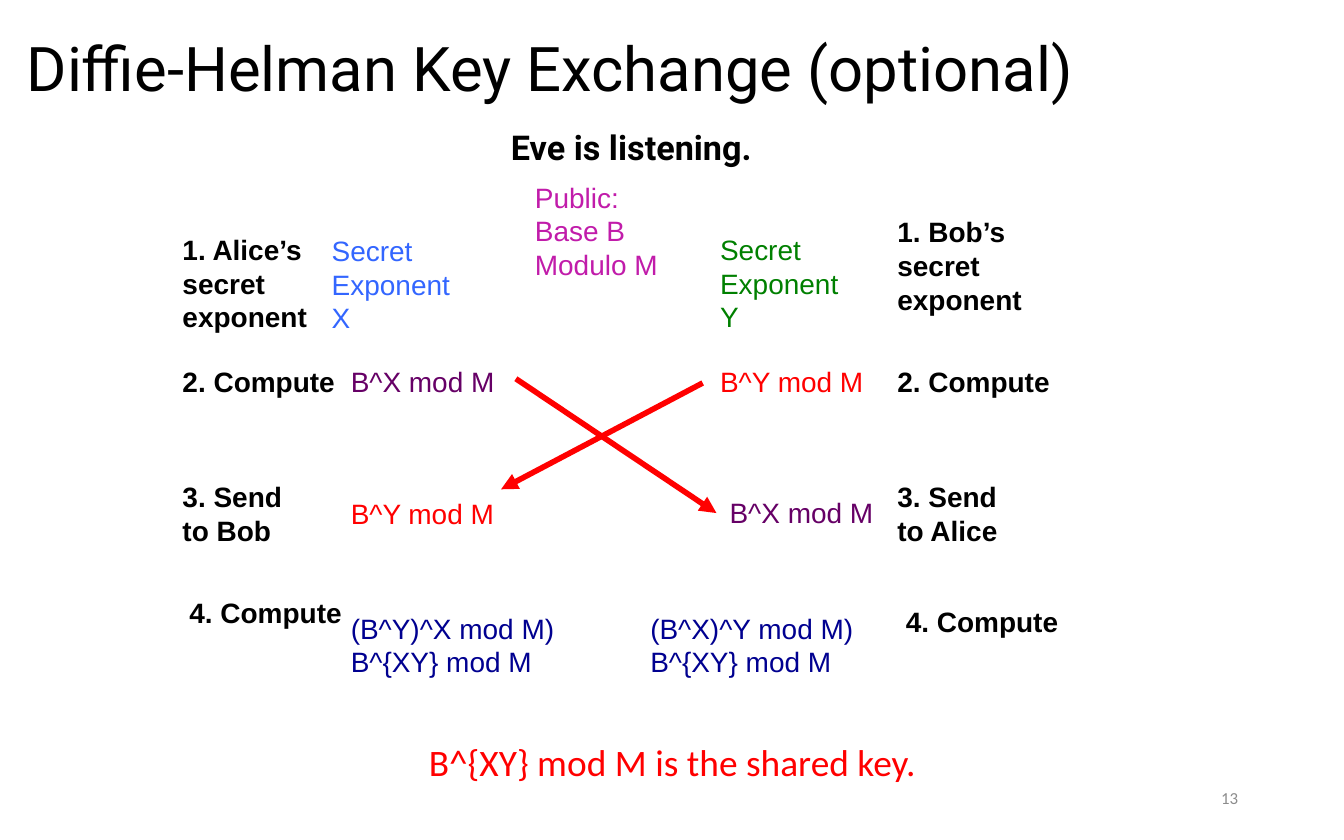
from lxml import etree
from pptx import Presentation
from pptx import util as u
from pptx.dml.color import RGBColor
from pptx.enum import shapes, text
from pptx.oxml.ns import qn

LABEL = dict(color="000000", bold=True)
ALICE = [
    ("1. Alice’s\nsecret\nexponent", 0, 0.33, 2.9, LABEL),
    ("2. Compute", 0, 2.82, 3.43, LABEL),
    ("3. Send\nto Bob", 0, 5, 2.49, LABEL),
    ("4. Compute", 0.13, 7.19, 3.43, LABEL),
    ("Secret\nExponent\nX", 2.82, 0.35, 2.77, dict(color="3366FF")),
    ("B^X mod M", 3.18, 2.82, 3.25, dict(color="660066")),
    ("B^Y mod M", 3.18, 5.33, 3.25, dict(color="FF0000")),
    ("(B^Y)^X mod M)\nB^{XY} mod M", 3.18, 7.49, 4.39, dict(color="000090")),
]
BOB = [
    ("1. Bob’s\nsecret\nexponent", 4.67, 0, 2.9, LABEL),
    ("2. Compute", 4.67, 2.82, 3.43, LABEL),
    ("3. Send\nto Alice", 4.67, 5, 2.41, LABEL),
    ("4. Compute", 4.83, 7.36, 3.43, LABEL),
    ("Secret Exponent\nY", 1.32, 0.33, 3, dict(color="008000", wrap=True)),
    ("B^Y mod M", 1.32, 2.82, 3.25, dict(color="FF0000")),
    ("B^X mod M", 1.5, 5.31, 3.25, dict(color="660066")),
    ("(B^X)^Y mod M)\nB^{XY} mod M", 0, 7.49, 4.39, dict(color="000090")),
]


def rgb(value):
    return RGBColor.from_string(value)


def write(paragraph, words, *, size=15, font="Arial", color="000000", bold=False,
          align=text.PP_ALIGN.LEFT, spacing=None, before=0, indent=None):
    paragraph.text = words
    paragraph.alignment = align
    paragraph.line_spacing = spacing
    paragraph.space_before = u.Cm(before)
    if indent is not None:
        properties = paragraph._p.get_or_add_pPr()
        properties.set("marL", str(u.Cm(indent)))
        properties.set("indent", "0")
        etree.SubElement(properties, qn("a:buNone"))
    paragraph.font.size = u.Pt(size)
    paragraph.font.name = font
    paragraph.font.bold = bold
    paragraph.font.color.rgb = rgb(color)


def place(shape, left, top, width, height):
    shape.left, shape.top = u.Cm(left), u.Cm(top)
    shape.width, shape.height = u.Cm(width), u.Cm(height)


def add_text(slide, words, left, top, width, *, wrap=False, **style):
    lines = words.split("\n")
    shape = slide.shapes.add_textbox(u.Cm(left), u.Cm(top), u.Cm(width),
                                     u.Cm(0.25 + 0.64 * len(lines)))
    frame = shape.text_frame
    frame.word_wrap = wrap
    frame.auto_size = text.MSO_AUTO_SIZE.SHAPE_TO_FIT_TEXT
    for index, line in enumerate(lines):
        paragraph = frame.add_paragraph() if index else frame.paragraphs[0]
        write(paragraph, line, **style)


def add_title(slide, words, *box):
    title = slide.shapes.title
    place(title, *box)
    title.text_frame.vertical_anchor = text.MSO_ANCHOR.MIDDLE
    title.text_frame.auto_size = text.MSO_AUTO_SIZE.NONE
    write(title.text_frame.paragraphs[0], words, size=33, font="Roboto", spacing=0.9)


def add_body(slide, *box):
    body = slide.placeholders[1]
    place(body, *box)
    frame = body.text_frame
    frame.auto_size = text.MSO_AUTO_SIZE.NONE
    write(frame.paragraphs[0], "Eve is listening.", size=18.3, font="Roboto",
          bold=True, spacing=0.9, indent=9.15)
    write(frame.add_paragraph(), "B^{XY} mod M is the shared key.", size=20,
          font="Calibri", color="FF0000", spacing=0.9, before=10.9, indent=7.6)


def add_person(slide, steps, left, top):
    for words, across, down, width, style in steps:
        add_text(slide, words, left + across, top + down, width, **style)


def add_arrow(slide, *ends):
    arrow = slide.shapes.add_connector(shapes.MSO_CONNECTOR.STRAIGHT,
                                       *(u.Cm(end) for end in ends))
    arrow.line.color.rgb = rgb("FF0000")
    arrow.line.width = u.Pt(3)
    etree.SubElement(arrow.line._get_or_add_ln(), qn("a:tailEnd"), type="triangle")
    etree.SubElement(arrow._element.spPr, qn("a:effectLst"))


def add_exchange(slide, left, top):
    add_text(slide, "Public:\nBase B\nModulo M", left + 0.39, top, 2.87, color="C11CAA")
    add_arrow(slide, left + 0.28, top + 3.88, left + 4.07, top + 6.42)
    add_arrow(slide, left + 3.81, top + 3.96, left, top + 5.97)


def main():
    presentation = Presentation()
    presentation.slide_width, presentation.slide_height = u.Cm(25.4), u.Cm(15.88)
    slide = presentation.slides.add_slide(presentation.slide_layouts[1])
    add_title(slide, "Diffie-Helman Key Exchange (optional)", 0.25, 0.38, 21.9, 1.93)
    add_body(slide, 0.25, 2.34, 23.04, 13.2)
    add_person(slide, ALICE, 3.2, 3.94)
    add_person(slide, BOB, 12.04, 3.94)
    add_exchange(slide, 9.47, 3.28)
    add_text(slide, "13", 17.93, 14.77, 5.72, wrap=True, size=9, font="Calibri",
             color="8C8C8C", align=text.PP_ALIGN.RIGHT)
    presentation.save("out.pptx")


if __name__ == "__main__":
    main()
